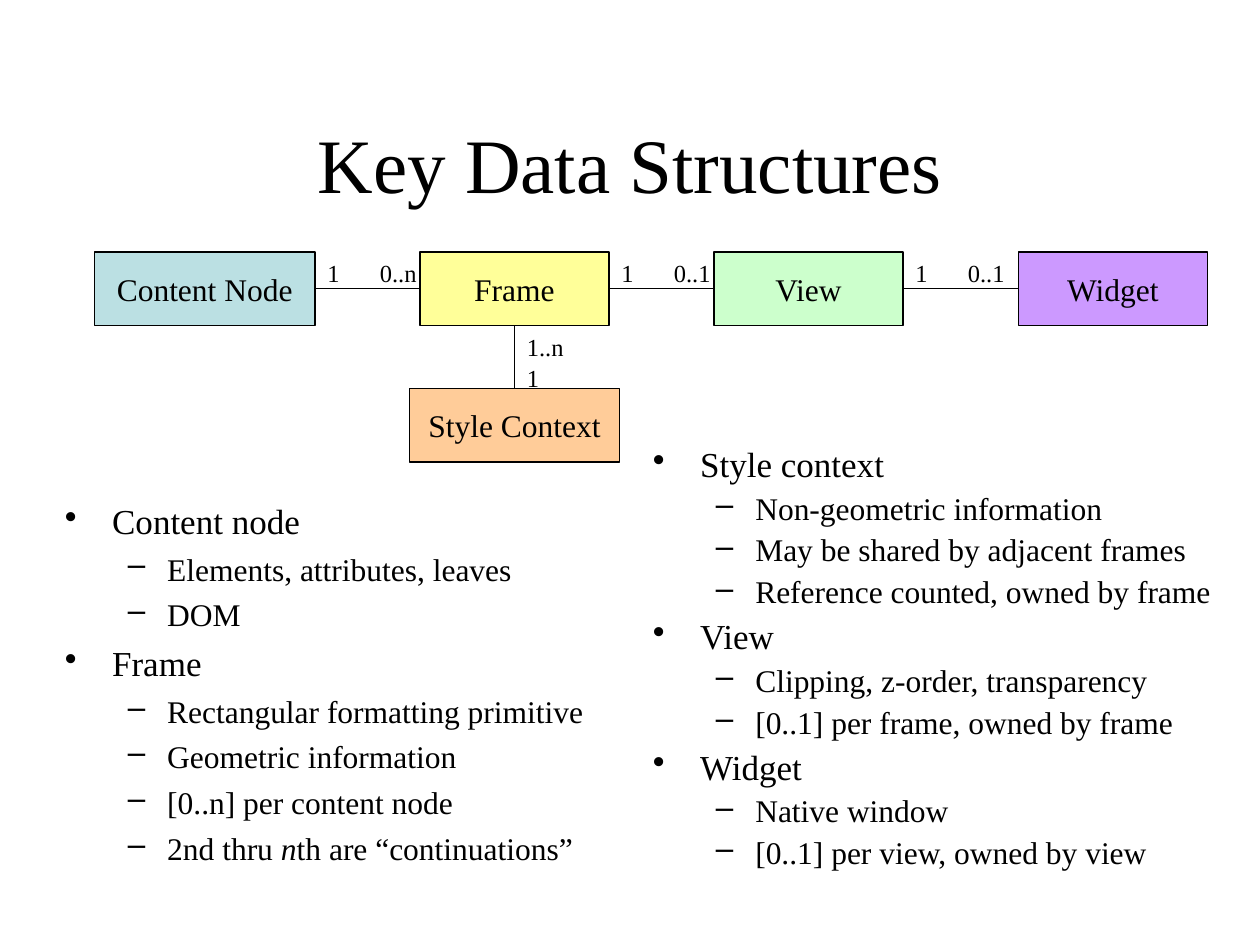
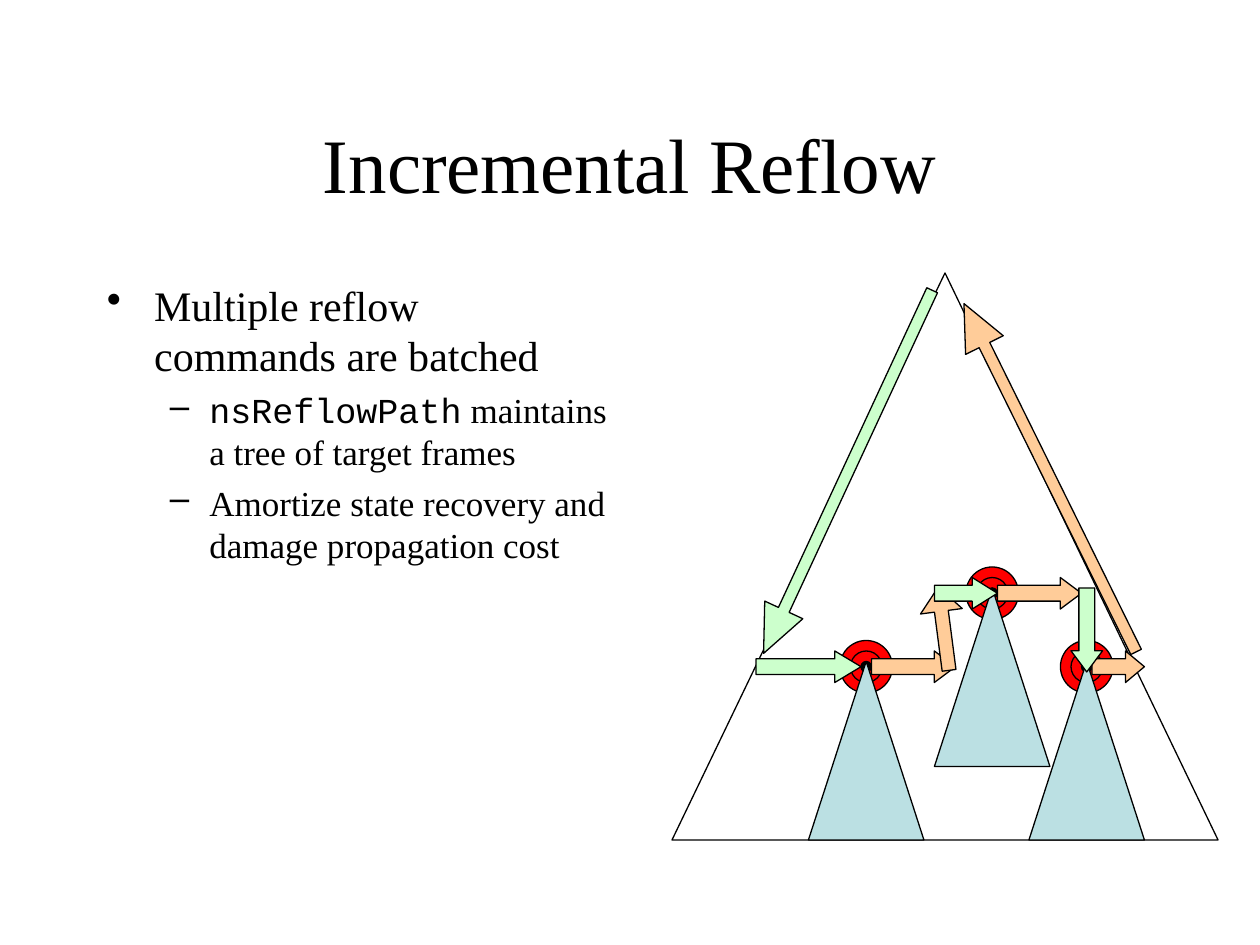
from dataclasses import dataclass
from typing import NamedTuple

from lxml.etree import SubElement
from pptx import Presentation
from pptx.dml.color import RGBColor
from pptx.enum.shapes import MSO_CONNECTOR as Conn, MSO_SHAPE as Kind
from pptx.enum.text import MSO_ANCHOR as Anchor, MSO_AUTO_SIZE as Fit, PP_ALIGN as Align
from pptx.oxml.ns import qn
from pptx.util import Pt

SCALE = 9525  # EMU in one px, 96 px to the inch
SERIF, MONO = "Times New Roman", "Courier New"
BLACK, RED = "000000", "FF0000"
BLUE, YELLOW, GREEN = "BBE0E3", "FFFF99", "CCFFCC"
PURPLE, PEACH = "CC99FF", "FFCC99"
MARKS = ("•", "–")
INDENTS = ((36, -36), (78, -30))


class Rect(NamedTuple):
    x: int
    y: int
    w: int
    h: int


@dataclass
class Box:
    text: str
    rect: Rect
    fill: str


@dataclass
class Arrow:
    kind: Kind
    rect: Rect
    fill: str
    adj: tuple[float, float]
    turn: float = 0


@dataclass
class Run:
    text: str
    font: str = SERIF
    italic: bool = False


@dataclass
class Item:
    level: int
    runs: list[Run]


def px(n: int) -> int:
    return n * SCALE


def hue(code: str) -> RGBColor:
    return RGBColor.from_string(code)


def put(obj, **vals) -> None:
    for name, val in vals.items():
        setattr(obj, name, val)


def place(rect: Rect) -> list[int]:
    return [px(n) for n in rect]


def write(para, run: Run, size: float) -> None:
    part = para.add_run()
    part.text = run.text
    put(part.font, name=run.font, size=Pt(size), italic=run.italic)
    part.font.color.rgb = hue(BLACK)


def ink(line) -> None:
    line.color.rgb = hue(BLACK)
    line.width = Pt(0.75)


def shape(slide, kind: Kind, rect: Rect, fill: str = ""):
    """Outlined shape; an empty fill leaves it clear."""
    item = slide.shapes.add_shape(kind, *place(rect))
    item.shadow.inherit = False
    if fill:
        item.fill.solid()
        item.fill.fore_color.rgb = hue(fill)
    else:
        item.fill.background()
    ink(item.line)
    return item


def start(deck, title: str):
    """Add a title-only slide and set its title."""
    slide = deck.slides.add_slide(deck.slide_layouts[5])
    head = slide.shapes.title
    left, top, width, height = place(Rect(72, 64, 816, 120))
    put(head, left=left, top=top, width=width, height=height)
    frame = head.text_frame
    put(frame, vertical_anchor=Anchor.MIDDLE, auto_size=Fit.NONE, word_wrap=True)
    para = frame.paragraphs[0]
    para.alignment = Align.CENTER
    write(para, Run(title), 44)
    return slide


def point(level: int, text: str) -> Item:
    return Item(level, [Run(text)])


def bullets(slide, rect: Rect, items: list[Item], sizes: tuple[int, int],
            gap: float | None = None) -> None:
    frame = slide.shapes.add_textbox(*place(rect)).text_frame
    put(frame, word_wrap=True, auto_size=Fit.NONE)
    for i, item in enumerate(items):
        para = frame.add_paragraph() if i else frame.paragraphs[0]
        size = sizes[item.level]
        put(para, level=item.level, space_before=Pt(size / 4), line_spacing=gap)
        props = para._p.get_or_add_pPr()
        for name, n in zip(("marL", "indent"), INDENTS[item.level]):
            props.set(name, str(px(n)))
        tint = SubElement(props, qn("a:buClr"))
        SubElement(tint, qn("a:srgbClr")).set("val", BLACK)
        SubElement(props, qn("a:buChar")).set("char", MARKS[item.level])
        for run in item.runs:
            write(para, run, size)


def node(slide, box: Box) -> None:
    frame = shape(slide, Kind.FLOWCHART_PROCESS, box.rect, box.fill).text_frame
    put(frame, vertical_anchor=Anchor.MIDDLE, word_wrap=False)
    para = frame.paragraphs[0]
    para.alignment = Align.CENTER
    write(para, Run(box.text), 18)


def link(slide, x1: int, y1: int, x2: int, y2: int) -> None:
    line = slide.shapes.add_connector(Conn.STRAIGHT, *[px(n) for n in (x1, y1, x2, y2)])
    ink(line.line)
    SubElement(line._element.spPr, qn("a:effectLst"))


def label(slide, text: str, x: int, y: int) -> None:
    rect = Rect(x, y, 29 if len(text) == 1 else 47, 33)
    frame = slide.shapes.add_textbox(*place(rect)).text_frame
    put(frame, word_wrap=False, auto_size=Fit.SHAPE_TO_FIT_TEXT)
    write(frame.paragraphs[0], Run(text), 14)


def target(slide, x: int, y: int) -> None:
    """Rings centred on x, y with the subtree cone below."""
    for size, fill in ((40, RED), (24, RED), (8, BLACK)):
        rect = Rect(x - size // 2, y - size // 2, size, size)
        shape(slide, Kind.FLOWCHART_CONNECTOR, rect, fill)
    shape(slide, Kind.FLOWCHART_EXTRACT, Rect(x - 44, y - 4, 88, 136), BLUE)


def pointer(slide, arrow: Arrow) -> None:
    item = shape(slide, arrow.kind, arrow.rect, arrow.fill)
    item.rotation = arrow.turn
    for i, val in enumerate(arrow.adj):
        item.adjustments[i] = val


def structures(deck) -> None:
    slide = start(deck, "Key Data Structures")
    nth = Item(1, [Run("2nd thru "), Run("n", italic=True), Run("th are “continuations”")])
    bullets(slide, Rect(40, 376, 432, 384), [
        point(0, "Content node"),
        point(1, "Elements, attributes, leaves"),
        point(1, "DOM"),
        point(0, "Frame"),
        point(1, "Rectangular formatting primitive"),
        point(1, "Geometric information"),
        point(1, "[0..n] per content node"),
        nth,
    ], (20, 18))
    bullets(slide, Rect(488, 336, 456, 432), [
        point(0, "Style context"),
        point(1, "Non-geometric information"),
        point(1, "May be shared by adjacent frames"),
        point(1, "Reference counted, owned by frame"),
        point(0, "View"),
        point(1, "Clipping, z-order, transparency"),
        point(1, "[0..1] per frame, owned by frame"),
        point(0, "Widget"),
        point(1, "Native window"),
        point(1, "[0..1] per view, owned by view"),
    ], (20, 18), 0.9)

    row = [
        Box("Content Node", Rect(72, 192, 168, 56), BLUE),
        Box("Frame", Rect(320, 192, 144, 56), YELLOW),
        Box("View", Rect(544, 192, 144, 56), GREEN),
        Box("Widget", Rect(776, 192, 144, 56), PURPLE),
    ]
    style = Box("Style Context", Rect(312, 296, 160, 56), PEACH)
    for box in [*row, style]:
        node(slide, box)
    for one, two, count in zip(row, row[1:], ("0..n", "0..1", "0..1")):
        edge = one.rect.x + one.rect.w
        link(slide, edge, 220, two.rect.x, 220)
        label(slide, "1", edge, 192)
        label(slide, count, edge + 40, 192)
    link(slide, 392, 248, 392, 296)
    label(slide, "1", 392, 272)
    label(slide, "1..n", 392, 248)


def reflow(deck) -> None:
    slide = start(deck, "Incremental Reflow")
    right, down = Kind.RIGHT_ARROW, Kind.DOWN_ARROW
    shape(slide, Kind.FLOWCHART_EXTRACT, Rect(512, 208, 416, 432))
    pointer(slide, Arrow(down, Rect(784, 216, 32, 296), PEACH, (0.28, 1.1), 153.7))
    bullets(slide, Rect(72, 208, 400, 432), [
        point(0, "Multiple reflow commands are batched"),
        Item(1, [Run("nsReflowPath", MONO), Run(" maintains a tree of target frames")]),
        point(1, "Amortize state recovery and damage propagation cost"),
    ], (24, 20))
    for x, y in ((660, 508), (756, 452), (828, 508)):
        target(slide, x, y)
    for arrow in (
        Arrow(down, Rect(630, 207, 32, 305), GREEN, (0.28, 1.14), 24.9),
        Arrow(right, Rect(576, 496, 80, 24), GREEN, (0.5, 0.83)),
        Arrow(right, Rect(664, 496, 64, 24), PEACH, (0.5, 0.67)),
        Arrow(right, Rect(832, 496, 40, 24), PEACH, (0.5, 0.6)),
        Arrow(down, Rect(703, 447, 32, 64), PEACH, (0.33, 0.58), 172.6),
        Arrow(right, Rect(712, 440, 48, 24), GREEN, (0.5, 0.8)),
        Arrow(right, Rect(760, 440, 64, 24), PEACH, (0.5, 0.67)),
        Arrow(right, Rect(796, 468, 64, 24), GREEN, (0.5, 0.67), 90),
    ):
        pointer(slide, arrow)


def main() -> None:
    deck = Presentation()
    put(deck, slide_width=px(960), slide_height=px(720))
    structures(deck)
    reflow(deck)
    deck.save("out.pptx")


if __name__ == "__main__":
    main()
